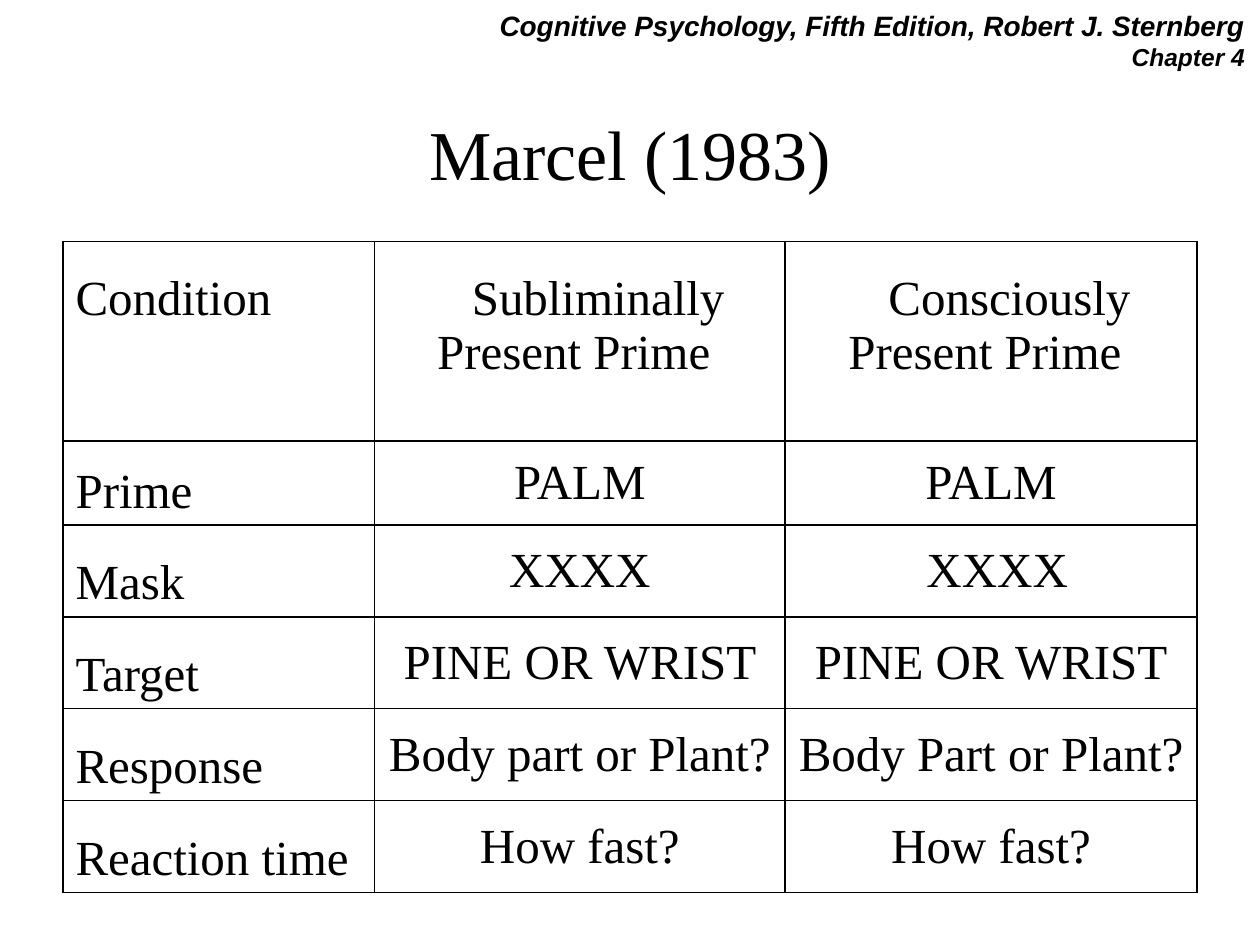
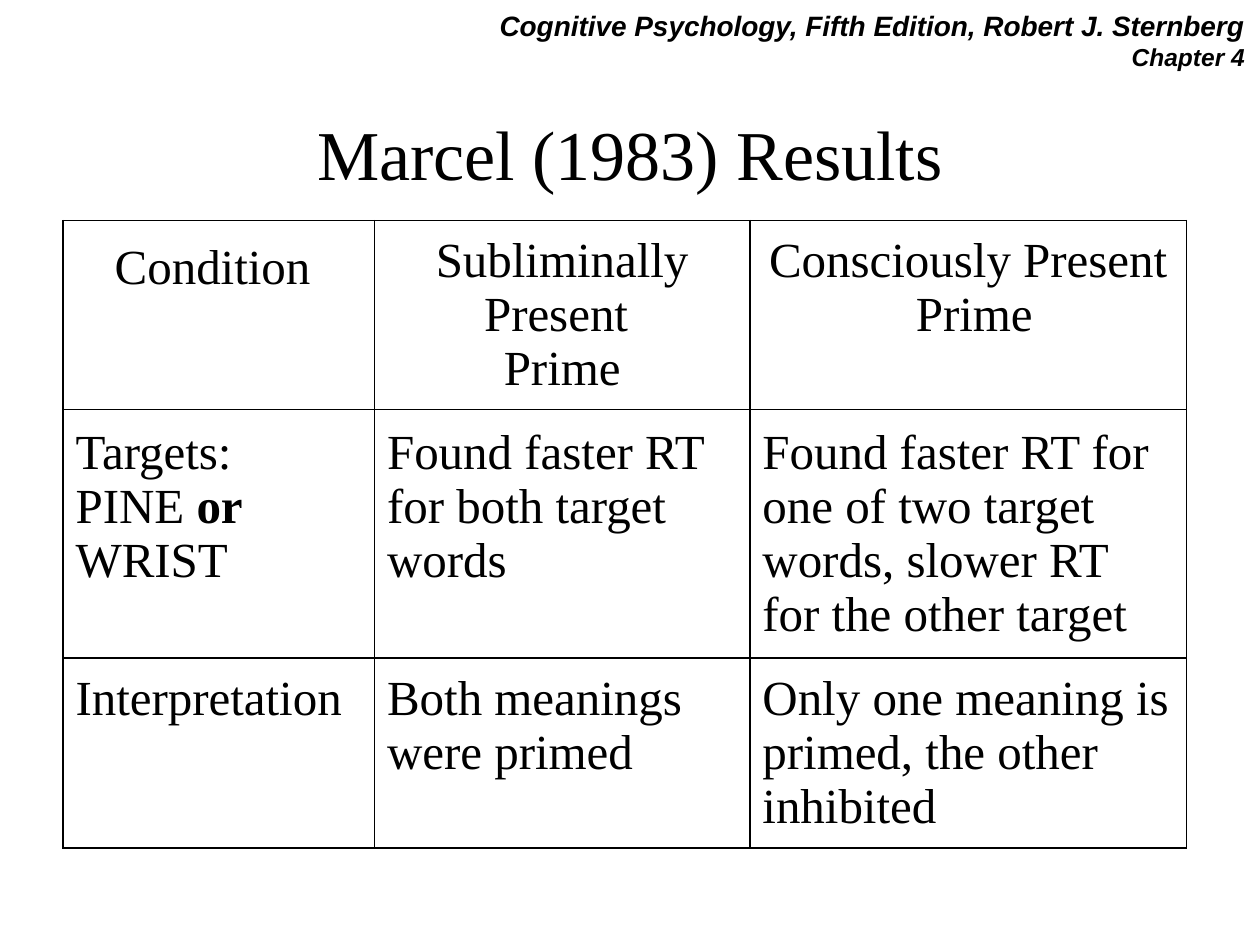
from collections import namedtuple
from lxml import etree
from pptx import Presentation
from pptx.dml.color import RGBColor
from pptx.enum.text import MSO_ANCHOR, PP_ALIGN
from pptx.oxml.ns import qn
from pptx.util import Pt

LEFT, MID, RIGHT = PP_ALIGN.LEFT, PP_ALIGN.CENTER, PP_ALIGN.RIGHT
CENTER, BASE = MSO_ANCHOR.MIDDLE, MSO_ANCHOR.BOTTOM
BLACK = RGBColor(0, 0, 0)
SERIF, SANS = "Times New Roman", "Arial"
LINE = 31
INSET = 3.6

Box = namedtuple("Box", "x y w h")
Item = namedtuple("Item", "text align anchor pad indent", defaults=(LEFT, CENTER, 0, 0))

HEAD = Box(4.5, 1.5, 714, 48)
TITLE = Box(54, 60, 612, 54)


def style(para, name, size, align):
    para.alignment = align
    para.font.name = name
    para.font.size = Pt(size)
    para.font.color.rgb = BLACK


def add_head(deck, slide, box):
    shape = slide.shapes.add_textbox(*map(Pt, box))
    frame = shape.text_frame
    frame.word_wrap = True
    frame.text = "Cognitive Psychology, Fifth Edition, Robert J. Sternberg\nChapter 4"
    for para, size in zip(frame.paragraphs, (16, 14)):
        style(para, SANS, size, RIGHT)
        para.font.bold = para.font.italic = True
    deck.slide_master.shapes.element.append(shape.element)


def add_title(slide, text, box):
    title = slide.shapes.title
    title.left, title.top, title.width, title.height = map(Pt, box)
    frame = title.text_frame
    frame.text = text
    frame.vertical_anchor = CENTER
    style(frame.paragraphs[0], SERIF, 40, MID)


def add_edges(cell):
    props = cell._tc.get_or_add_tcPr()
    for side in ("lnL", "lnR", "lnT", "lnB"):
        edge = etree.SubElement(props, qn("a:" + side), w=str(Pt(1)))
        fill = etree.SubElement(edge, qn("a:solidFill"))
        etree.SubElement(fill, qn("a:srgbClr"), val=str(BLACK))


def fill_cell(cell, item):
    add_edges(cell)
    cell.fill.background()
    cell.vertical_anchor = item.anchor
    cell.margin_bottom = Pt(INSET + LINE * item.pad)
    frame = cell.text_frame
    for i, text in enumerate(item.text.split("\n")):
        para = frame.add_paragraph() if i else frame.paragraphs[0]
        style(para, SERIF, 28, item.align)
        if item.indent:
            para._p.get_or_add_pPr().set("indent", str(Pt(item.indent)))
        for j, part in enumerate(text.split("*")):
            run = para.add_run()
            run.text = part
            if j % 2:
                run.font.bold = True


def add_grid(slide, box, cols, rows, items):
    frame = slide.shapes.add_table(len(rows), len(cols), *map(Pt, box))
    table = frame.table
    table.first_row = table.horz_banding = False
    for col, width in zip(table.columns, cols):
        col.width = Pt(width)
    for row, height in zip(table.rows, rows):
        row.height = Pt(height)
    for cell, item in zip(table.iter_cells(), items):
        fill_cell(cell, item)


def add_page(deck, title, x, y, cols, rows, items):
    slide = deck.slides.add_slide(deck.slide_layouts[5])
    add_title(slide, title, TITLE)
    add_grid(slide, Box(x, y, sum(cols), sum(rows)), cols, rows, items)
    return slide


STEPS = [
    ("Prime", "PALM", "PALM"),
    ("Mask", "XXXX", "\u00a0XXXX"),
    ("Target", "PINE OR WRIST", "PINE OR WRIST"),
    ("Response", "Body part or Plant?", "Body Part or Plant?"),
    ("Reaction time", "How fast?", "How fast?"),
]
DESIGN = [
    Item("Condition", LEFT, BASE, 2),
    Item("Subliminally Present Prime ", MID, BASE, 1, 21),
    Item("Consciously Present Prime ", MID, BASE, 1, 21),
]
for name, *pair in STEPS:
    DESIGN.append(Item(name, LEFT, BASE))
    DESIGN += [Item(text, MID) for text in pair]

RESULTS = [
    Item("Condition\u00a0", MID, BASE, 2),
    Item("Subliminally Present \nPrime", MID),
    Item("Consciously Present\n Prime", MID, pad=1),
    Item("Targets:\nPINE *or *WRIST", pad=1),
    Item("Found faster RT for both target words", pad=1),
    Item("Found faster RT for one of two target words, slower RT for the other target"),
    Item("Interpretation", pad=2),
    Item("Both meanings were primed", pad=1),
    Item("Only one meaning is primed, the other inhibited"),
]

deck = Presentation()
deck.slide_width, deck.slide_height = Pt(720), Pt(540)
first = add_page(deck, "Marcel (1983)", 36, 138, (178, 234.7, 235.3),
                 (114, 48) + (52.5,) * 4, DESIGN)
add_page(deck, "Marcel (1983) Results", 36, 126, (178, 214.5, 249.5),
         (108, 142, 108.5), RESULTS)
add_head(deck, first, HEAD)
deck.save("out.pptx")
